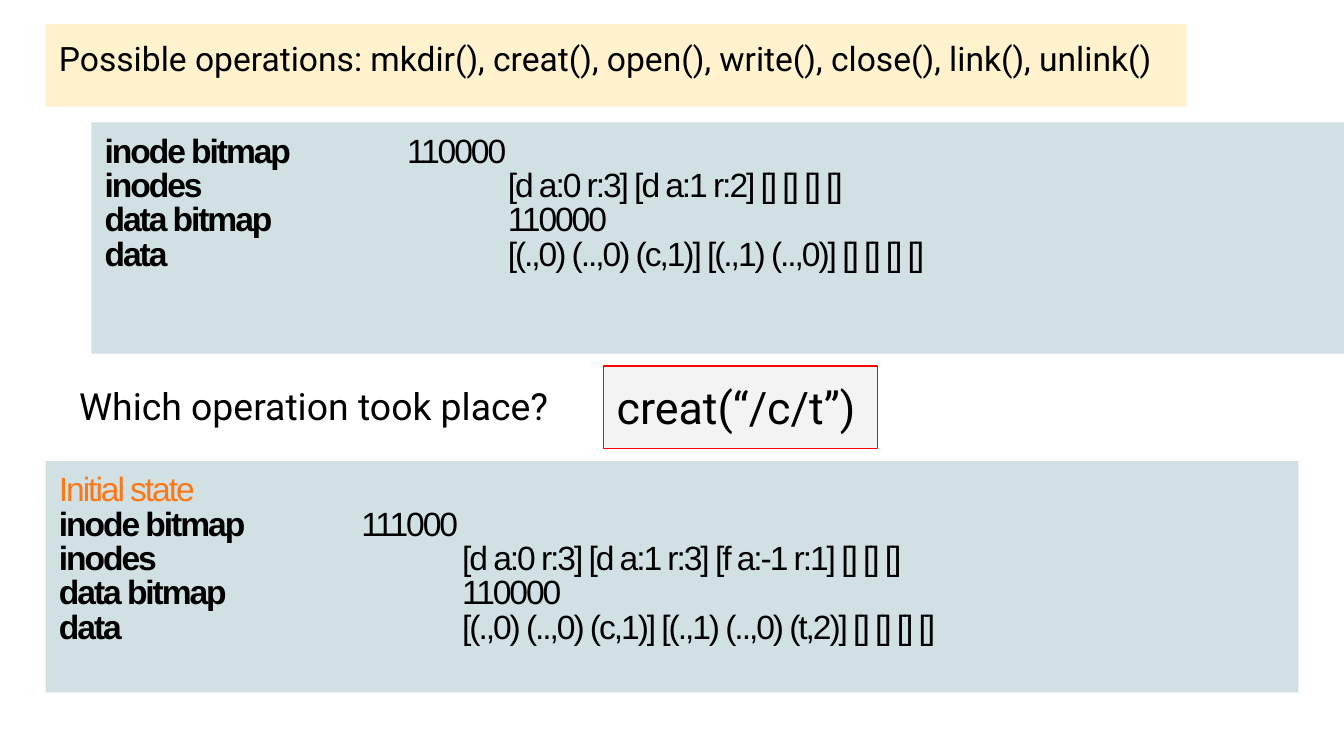
"""Build the slide that asks which file system operation took place."""
from dataclasses import dataclass
from typing import Optional

from lxml.etree import SubElement
from pptx import Presentation
from pptx.dml.color import RGBColor
from pptx.enum.shapes import MSO_SHAPE as Preset
from pptx.enum.text import MSO_ANCHOR as Anchor, PP_ALIGN as Align
from pptx.oxml.ns import qn
from pptx.util import Inches, Pt

WIDTH, HEIGHT = Inches(10), Inches(5.625)
INSET = Inches(0.1)
TAB_STEP, TAB_COUNT = Inches(0.75), 4
BLACK, ORANGE, TEAL = "000000", "FC7715", "D0E0E3"


@dataclass(frozen=True)
class Words:
    """A run of text with its own weight and colour."""
    text: str
    bold: bool = False
    color: str = BLACK


@dataclass(frozen=True)
class Panel:
    """A text panel placed in percent of the slide's width and height."""
    left: float
    top: float
    width: float
    height: float
    lines: list[list[Words]]
    size: int = 18
    font: str = "Roboto"
    fill: Optional[str] = None
    border: Optional[str] = None
    tabular: bool = False


def rgb(value: str) -> RGBColor:
    """Turn a hex string into a colour."""
    return RGBColor.from_string(value)


def state_lines(inode_bitmap: str, inodes: str, data_bitmap: str, data: str) -> list[list[Words]]:
    """Pair each bold label with its value in the tabbed layout."""
    rows = (
        ("inode bitmap \t\t", inode_bitmap),
        ("inodes\t\t\t\t", inodes),
        ("data bitmap\t\t\t", data_bitmap),
        ("data \t\t\t\t", data),
    )
    return [[Words(label, bold=True), Words(value)] for label, value in rows]


def add_tab_stops(paragraph) -> None:
    """Give a paragraph evenly spaced left tab stops."""
    stops = SubElement(paragraph._p.get_or_add_pPr(), qn("a:tabLst"))
    for step in range(1, TAB_COUNT + 1):
        SubElement(stops, qn("a:tab"), pos=str(TAB_STEP * step), algn="l")


def add_line(paragraph, line: list[Words], panel: Panel) -> None:
    """Write one line of a panel run by run."""
    paragraph.alignment = Align.LEFT
    if panel.tabular:
        paragraph.line_spacing = 0.85
        add_tab_stops(paragraph)
    for words in line:
        run = paragraph.add_run()
        run.text = words.text
        run.font.name = panel.font
        run.font.size = Pt(panel.size)
        run.font.bold = words.bold
        run.font.color.rgb = rgb(words.color)
        if panel.tabular:
            run.font._element.set("spc", "-110")


def draw_panel(slide, panel: Panel) -> None:
    """Draw a panel as a rectangle, or as a text box if it has no fill."""
    box = (
        int(WIDTH * panel.left / 100), int(HEIGHT * panel.top / 100),
        int(WIDTH * panel.width / 100), int(HEIGHT * panel.height / 100),
    )
    if panel.fill:
        shape = slide.shapes.add_shape(Preset.RECTANGLE, *box)
        shape.shadow.inherit = False
        shape.fill.solid()
        shape.fill.fore_color.rgb = rgb(panel.fill)
        if panel.border:
            shape.line.color.rgb = rgb(panel.border)
            shape.line.width = Pt(0.75)
        else:
            shape.line.fill.background()
    else:
        shape = slide.shapes.add_textbox(*box)
    frame = shape.text_frame
    frame.word_wrap = True
    frame.vertical_anchor = Anchor.TOP
    frame.margin_left = frame.margin_right = INSET
    frame.margin_top = frame.margin_bottom = INSET
    for index, line in enumerate(panel.lines):
        paragraph = frame.add_paragraph() if index else frame.paragraphs[0]
        add_line(paragraph, line, panel)


def state_panel(left: float, top: float, lines: list[list[Words]]) -> Panel:
    """Describe a panel that lists a file system state."""
    return Panel(left, top, 93.2, 30.6, lines, font="Arial", fill=TEAL, tabular=True)


def main() -> None:
    """Build and save the slide."""
    deck = Presentation()
    deck.slide_width, deck.slide_height = WIDTH, HEIGHT
    slide = deck.slides.add_slide(deck.slide_layouts[6])
    state_after = state_lines(
        "111000", "[d a:0 r:3] [d a:1 r:3] [f a:-1 r:1] [] [] []",
        "110000", "[(.,0) (..,0) (c,1)] [(.,1) (..,0) (t,2)] [] [] [] []",
    )
    state_before = state_lines(
        "110000", "[d a:0 r:3] [d a:1 r:2] [] [] [] []",
        "110000", "[(.,0) (..,0) (c,1)] [(.,1) (..,0)] [] [] [] []",
    )
    operations = "Possible operations: mkdir(), creat(), open(), write(), close(), link(), unlink()"
    panels = (
        state_panel(3.4, 61, [[Words("Initial state", color=ORANGE)], *state_after]),
        state_panel(6.8, 16.2, state_before),
        Panel(4.9, 48.9, 56.4, 10.1, [[Words("Which operation took place?")]], size=20),
        Panel(3.4, 3.2, 84.9, 10.9, [[Words(operations)]], fill="FFF2CC"),
        Panel(44.9, 48.4, 20.4, 10.9, [[Words("creat(“/c/t”)")]], size=24,
              fill="F3F3F3", border="FF0000"),
    )
    for panel in panels:
        draw_panel(slide, panel)
    deck.save("out.pptx")


if __name__ == "__main__":
    main()
